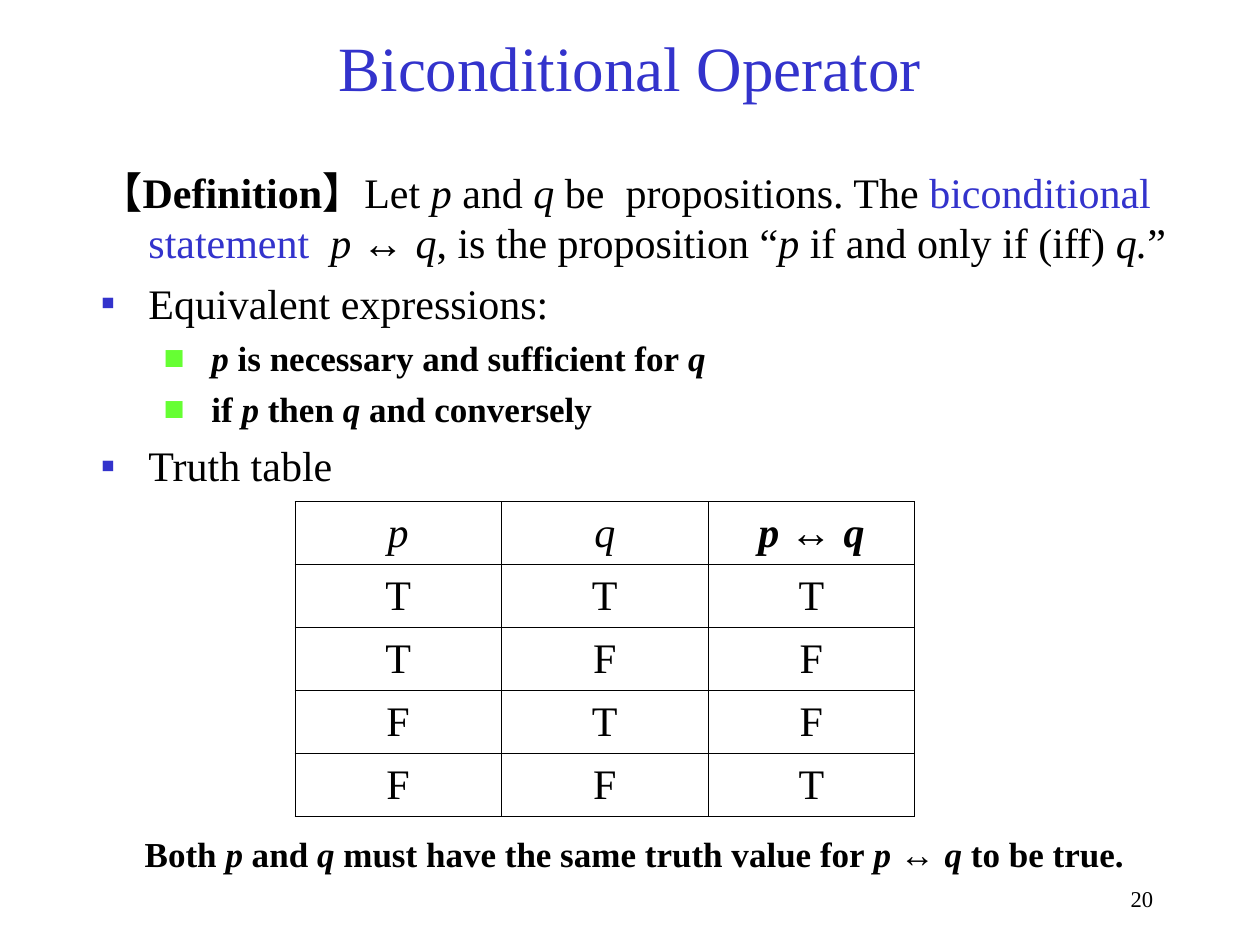
"""Build the slide that defines the biconditional operator and its truth table."""
from dataclasses import dataclass

from lxml import etree
from pptx import Presentation
from pptx.dml.color import RGBColor
from pptx.enum import text
from pptx.oxml import ns
from pptx.util import Inches, Pt


@dataclass(frozen=True)
class Theme:
    """Colours, fonts and type sizes."""
    accent: str = "3333CC"
    marker: str = "66FF33"
    ink: str = "000000"
    paper: str = "FFFFFF"
    font: str = "Times New Roman"
    symbol_font: str = "Arial"
    title: float = 36
    body: float = 24
    detail: float = 20
    number: float = 12.9
    border: float = 0.45


THEME = Theme()
CENTER, RIGHT = text.PP_ALIGN.CENTER, text.PP_ALIGN.RIGHT
MIDDLE = text.MSO_ANCHOR.MIDDLE

# Style letters: b bold, i italic, a accent colour, s symbol font.
TITLE = [("Biconditional Operator", "a")]
DEFINITION = [
    ("【Definition】", "b"), ("Let ", ""), ("p ", "i"), ("and", ""), (" q ", "i"),
    ("be  propositions. The ", ""), ("biconditional statement  ", "a"),
    ("p ", "i"), ("↔ ", "bs"), ("q", "i"), (", is the proposition “", ""),
    ("p", "i"), (" if and only if (iff) ", ""), ("q.", "i"), ("”", ""),
]
NECESSARY = [(" ", "b"), ("p", "bi"), (" is necessary and sufficient for ", "b"), ("q", "bi")]
CONVERSE = [(" if ", "b"), ("p", "bi"), (" then ", "b"), ("q ", "bi"), ("and conversely", "b")]
OUTLINE = [
    ("definition", DEFINITION),
    ("topic", [("Equivalent expressions:", "")]),
    ("detail", NECESSARY),
    ("detail", CONVERSE),
    ("topic", [("Truth table", "")]),
]
LEVELS = {
    "definition": dict(size=THEME.body, margin=0.38, indent=-0.38),
    "topic": dict(size=THEME.body, margin=0.38, indent=-0.38, before=6,
                  bullet="▪", bullet_color=THEME.accent),
    "detail": dict(size=THEME.detail, margin=0.81, indent=-0.31, before=5,
                   bullet="■", bullet_color=THEME.marker, level=1),
}
HEADINGS = [[("p", "i")], [("q", "i")], [("p ", "bi"), ("↔ ", "bs"), ("q", "bi")]]
TRUTH_VALUES = ["TTT", "TFF", "FTF", "FFT"]
CONCLUSION = [
    ("Both ", "b"), ("p", "bi"), (" and ", "b"), ("q", "bi"),
    (" must have the same truth value for ", "b"), ("p ", "bi"), ("↔ ", "bs"),
    ("q ", "bi"), ("to be true.", "b"),
]
PAGE_NUMBER = [("20", "")]
COLUMN_WIDTH, ROW_HEIGHT = 1.64, 0.5


def add_element(parent, tag, **attributes):
    """Append a drawing element and return it."""
    return etree.SubElement(parent, ns.qn(tag), attributes)


def add_color(parent, color):
    """Append a solid colour to a line element."""
    add_element(add_element(parent, "a:solidFill"), "a:srgbClr", val=color)


def write(paragraph, runs, *, size, align=None, before=0, line_spacing=None,
          margin=0, indent=0, bullet=None, bullet_color=None, level=0):
    """Write styled runs into a paragraph."""
    paragraph.level = level
    paragraph.space_before = Pt(before)
    if align is not None:
        paragraph.alignment = align
    if line_spacing:
        paragraph.line_spacing = line_spacing
    properties = paragraph._p.get_or_add_pPr()
    properties.set("marL", str(Inches(margin)))
    properties.set("indent", str(Inches(indent)))
    if bullet:
        color = add_element(properties, "a:buClr")
        add_element(color, "a:srgbClr", val=bullet_color)
        add_element(properties, "a:buFont", typeface=THEME.font)
        add_element(properties, "a:buChar", char=bullet)
    else:
        add_element(properties, "a:buNone")
    for content, style in runs:
        run = paragraph.add_run()
        run.text = content
        font = run.font
        font.size = Pt(size)
        font.name = THEME.symbol_font if "s" in style else THEME.font
        font.bold, font.italic = "b" in style, "i" in style
        font.color.rgb = RGBColor.from_string(THEME.accent if "a" in style else THEME.ink)


def add_text_box(slide, box, paragraphs, anchor=text.MSO_ANCHOR.TOP):
    """Add a wrapped text box holding pairs of runs and format."""
    frame = slide.shapes.add_textbox(*map(Inches, box)).text_frame
    frame.word_wrap = True
    frame.vertical_anchor = anchor
    for index, (runs, style) in enumerate(paragraphs):
        paragraph = frame.add_paragraph() if index else frame.paragraphs[0]
        write(paragraph, runs, **style)


def format_cell(cell, runs):
    """Give a table cell its borders, fill and text."""
    properties = cell._tc.get_or_add_tcPr()
    for side in ("a:lnL", "a:lnR", "a:lnT", "a:lnB"):
        add_color(add_element(properties, side, w=str(Pt(THEME.border))), THEME.ink)
    cell.fill.solid()
    cell.fill.fore_color.rgb = RGBColor.from_string(THEME.paper)
    cell.vertical_anchor = MIDDLE
    write(cell.text_frame.paragraphs[0], runs, size=THEME.body, align=CENTER)


def add_truth_table(slide, left, top):
    """Add the truth table with equal rows and columns."""
    rows = [HEADINGS] + [[[(value, "")] for value in values] for values in TRUTH_VALUES]
    width, height = COLUMN_WIDTH * len(HEADINGS), ROW_HEIGHT * len(rows)
    table = slide.shapes.add_table(
        len(rows), len(HEADINGS), *map(Inches, (left, top, width, height))).table
    table.first_row = table.horz_banding = False
    for row_index, row in enumerate(rows):
        for column_index, runs in enumerate(row):
            format_cell(table.cell(row_index, column_index), runs)


def main():
    """Compose and save the slide."""
    presentation = Presentation()
    presentation.slide_width, presentation.slide_height = Inches(10), Inches(7.5)
    slide = presentation.slides.add_slide(presentation.slide_layouts[6])
    add_text_box(slide, (0.75, 0.13, 8.5, 0.79),
                 [(TITLE, dict(size=THEME.title, align=CENTER))], MIDDLE)
    add_text_box(slide, (0.7, 1.27, 8.91, 2.68),
                 [(runs, LEVELS[name]) for name, runs in OUTLINE])
    add_truth_table(slide, 2.34, 3.98)
    add_text_box(slide, (1.05, 6.56, 8.56, 0.43), [(CONCLUSION, dict(size=THEME.detail))])
    add_text_box(slide, (7.67, 7, 1.58, 0.33),
                 [(PAGE_NUMBER, dict(size=THEME.number, align=RIGHT, line_spacing=0.9))])
    presentation.save("out.pptx")


if __name__ == "__main__":
    main()
